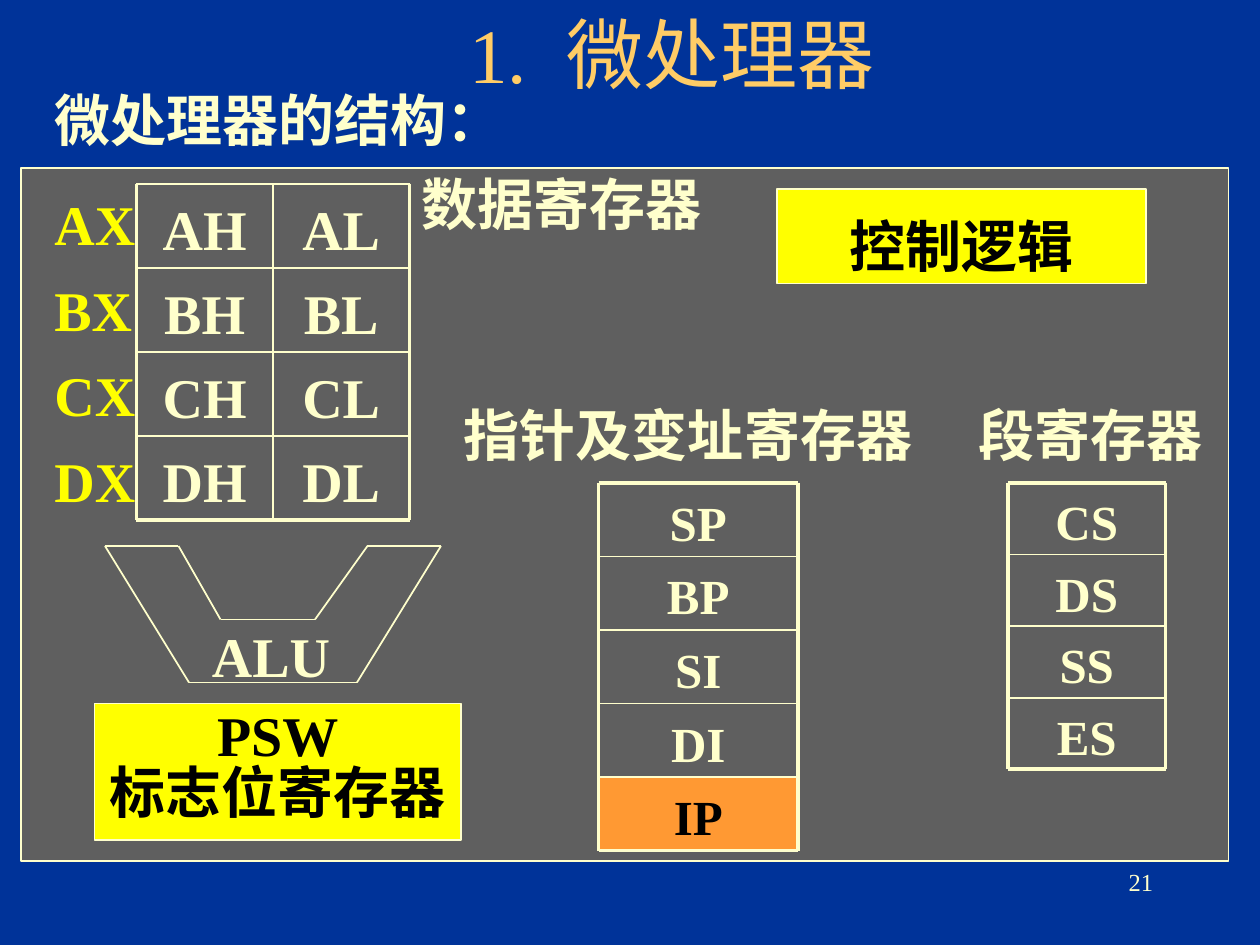
"""Build the slide on the register structure of a microprocessor."""
from dataclasses import dataclass
from typing import Optional

from lxml.etree import SubElement
from pptx import Presentation
from pptx.dml.color import RGBColor
from pptx.enum.shapes import MSO_CONNECTOR, MSO_SHAPE
from pptx.enum.text import MSO_ANCHOR, PP_ALIGN
from pptx.oxml.ns import qn
from pptx.util import Pt

NAVY = RGBColor(0x00, 0x33, 0x99)
GREY = RGBColor(0x5F, 0x5F, 0x5F)
CREAM = RGBColor(0xFF, 0xFF, 0xCC)
GOLD = RGBColor(0xFF, 0xCC, 0x66)
YELLOW = RGBColor(0xFF, 0xFF, 0x00)
ORANGE = RGBColor(0xFF, 0x99, 0x33)
BLACK = RGBColor(0x00, 0x00, 0x00)
FONT = "Times New Roman"
THIN, THICK = 1, 2.25


@dataclass(frozen=True)
class Frame:
    left: float
    top: float
    width: float
    height: float

    def lengths(self) -> tuple:
        return Pt(self.left), Pt(self.top), Pt(self.width), Pt(self.height)


@dataclass(frozen=True)
class TextStyle:
    size: float = 32
    color: RGBColor = CREAM
    bold: bool = True
    align: PP_ALIGN = PP_ALIGN.LEFT
    line_spacing: float = 1.0
    space_before: float = 0


@dataclass(frozen=True)
class Label:
    frame: Frame
    lines: tuple
    style: TextStyle


@dataclass(frozen=True)
class Panel:
    frame: Frame
    fill: RGBColor
    lines: tuple = ()
    style: TextStyle = TextStyle()


@dataclass(frozen=True)
class RegisterBank:
    frame: Frame
    rows: tuple
    size: float
    top_border: float = THICK
    highlight: Optional[str] = None


HEADING = TextStyle(line_spacing=1.25)
LABELS = (
    Label(Frame(516, 492, 150, 36), ("21",), TextStyle(14, bold=False, align=PP_ALIGN.RIGHT)),
    Label(Frame(24, 36, 282, 55.4), ("微处理器的结构：",), HEADING),
    Label(Frame(234, 84, 192, 55.4), ("数据寄存器",), HEADING),
    Label(Frame(258, 216, 276, 55.4), ("指针及变址寄存器",), HEADING),
    Label(Frame(552, 216, 168, 55.4), ("段寄存器",), HEADING),
    Label(Frame(114, 342, 96, 55.4), ("ALU",), HEADING),
    Label(Frame(24, 114, 78, 183), ("AX", "BX", "CX", "DX"),
          TextStyle(color=YELLOW, line_spacing=0.75, space_before=20)),
)
PANELS = (
    Panel(Frame(12, 96, 690, 396), GREY),
    Panel(Frame(444, 108, 211, 54), YELLOW, ("控制逻辑",),
          TextStyle(color=BLACK, align=PP_ALIGN.CENTER, line_spacing=1.25)),
    Panel(Frame(54, 402, 209.5, 78), YELLOW, ("PSW", "标志位寄存器"),
          TextStyle(color=BLACK, align=PP_ALIGN.CENTER, line_spacing=0.65, space_before=8)),
)
BANKS = (
    RegisterBank(Frame(78, 105, 156, 192),
                 (("AH", "AL"), ("BH", "BL"), ("CH", "CL"), ("DH", "DL")), 32, THIN),
    RegisterBank(Frame(342, 276, 114, 210),
                 (("SP",), ("BP",), ("SI",), ("DI",), ("IP",)), 28, highlight="IP"),
    RegisterBank(Frame(576, 276, 90, 163.6), (("CS",), ("DS",), ("SS",), ("ES",)), 28),
)
ALU_CORNERS = ((60, 312), (102, 312), (126, 354), (180, 354),
               (210, 312), (252, 312), (204, 390), (108, 390))


def add_span(para, text: str, style: TextStyle):
    span = para.add_run()
    span.text = text
    span.font.name = FONT
    span.font.size = Pt(style.size)
    span.font.bold = style.bold
    span.font.color.rgb = style.color
    return span


def write_lines(text_frame, lines: tuple, style: TextStyle) -> None:
    for index, line in enumerate(lines):
        para = text_frame.add_paragraph() if index else text_frame.paragraphs[0]
        para.alignment = style.align
        para.line_spacing = style.line_spacing
        para.space_before = Pt(style.space_before if index else 0)
        add_span(para, line, style)


def add_label(page, label: Label) -> None:
    box = page.shapes.add_textbox(*label.frame.lengths())
    box.text_frame.word_wrap = True
    write_lines(box.text_frame, label.lines, label.style)


def add_title(page) -> None:
    box = page.shapes.add_textbox(*Frame(78, 6, 612, 54).lengths())
    box.text_frame.word_wrap = True
    box.text_frame.vertical_anchor = MSO_ANCHOR.BOTTOM
    para = box.text_frame.paragraphs[0]
    para.alignment = PP_ALIGN.CENTER
    style = TextStyle(44, GOLD, bold=False)
    add_span(para, "1.", style)
    gap = add_span(para, " ", style)
    gap.font._element.set("spc", "1150")
    add_span(para, "微处理器", style)


def add_panel(page, panel: Panel) -> None:
    box = page.shapes.add_shape(MSO_SHAPE.RECTANGLE, *panel.frame.lengths())
    box.shadow.inherit = False
    box.fill.solid()
    box.fill.fore_color.rgb = panel.fill
    box.line.color.rgb = CREAM
    box.line.width = Pt(THIN)
    box.text_frame.word_wrap = False
    box.text_frame.vertical_anchor = MSO_ANCHOR.MIDDLE
    write_lines(box.text_frame, panel.lines, panel.style)


def add_line(page, start: tuple, end: tuple, width: float = THIN) -> None:
    points = [Pt(value) for value in (*start, *end)]
    line = page.shapes.add_connector(MSO_CONNECTOR.STRAIGHT, *points)
    line.line.color.rgb = CREAM
    line.line.width = Pt(width)
    SubElement(line._element.spPr, qn("a:effectLst"))


def add_alu(page) -> None:
    for start, end in zip(ALU_CORNERS, ALU_CORNERS[1:] + ALU_CORNERS[:1]):
        add_line(page, start, end)


def add_register(page, frame: Frame, name: str, size: float, marked: bool) -> None:
    if marked:
        box = page.shapes.add_shape(MSO_SHAPE.RECTANGLE, *frame.lengths())
        box.shadow.inherit = False
        box.fill.solid()
        box.fill.fore_color.rgb = ORANGE
        box.line.fill.background()
    else:
        box = page.shapes.add_textbox(*frame.lengths())
    box.text_frame.word_wrap = True
    box.text_frame.vertical_anchor = MSO_ANCHOR.MIDDLE
    box.text_frame.margin_top = Pt(6)
    write_lines(box.text_frame, (name,), TextStyle(
        size, BLACK if marked else CREAM, align=PP_ALIGN.CENTER))


def add_bank(page, bank: RegisterBank) -> None:
    frame = bank.frame
    row_count, column_count = len(bank.rows), len(bank.rows[0])
    width, height = frame.width / column_count, frame.height / row_count
    right, bottom = frame.left + frame.width, frame.top + frame.height
    for r, names in enumerate(bank.rows):
        for c, name in enumerate(names):
            cell = Frame(frame.left + c * width, frame.top + r * height, width, height)
            add_register(page, cell, name, bank.size, name == bank.highlight)
    for r in range(row_count + 1):
        y = frame.top + r * height
        weight = {0: bank.top_border, row_count: THICK}.get(r, THIN)
        add_line(page, (frame.left, y), (right, y), weight)
    for c in range(column_count + 1):
        x = frame.left + c * width
        weight = THICK if c in (0, column_count) else THIN
        add_line(page, (x, frame.top), (x, bottom), weight)


def main() -> None:
    deck = Presentation()
    deck.slide_width, deck.slide_height = Pt(720), Pt(540)
    page = deck.slides.add_slide(deck.slide_layouts[6])
    page.background.fill.solid()
    page.background.fill.fore_color.rgb = NAVY
    add_title(page)
    for panel in PANELS:
        add_panel(page, panel)
    add_alu(page)
    for bank in BANKS:
        add_bank(page, bank)
    for label in LABELS:
        add_label(page, label)
    deck.save("out.pptx")


if __name__ == "__main__":
    main()
